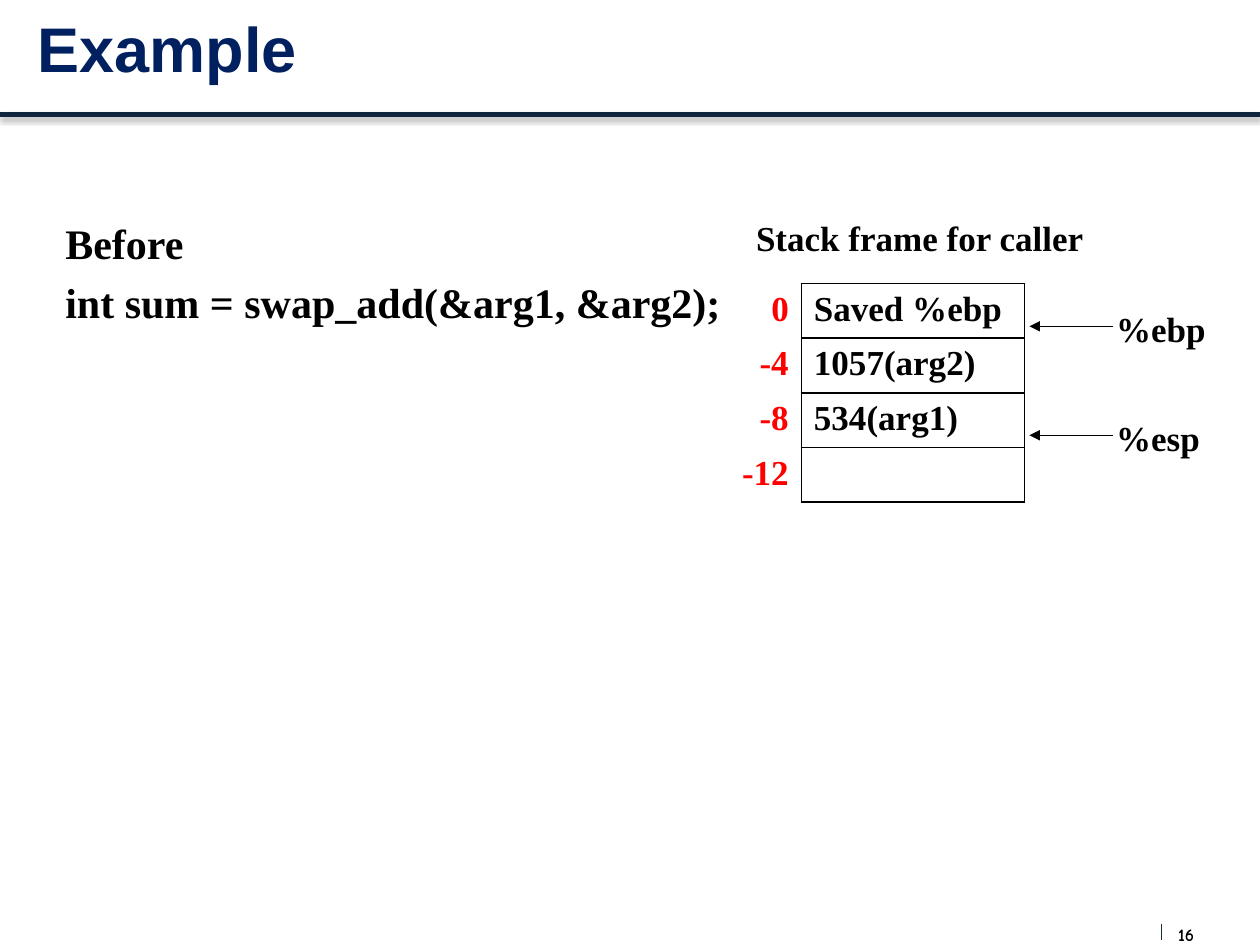
import dataclasses
import typing

import lxml.etree
import pptx
import pptx.dml.color
import pptx.enum.shapes
import pptx.enum.text
import pptx.oxml.ns
import pptx.util

ALIGN = pptx.enum.text.PP_ALIGN
ANCHOR = pptx.enum.text.MSO_ANCHOR
qn = pptx.oxml.ns.qn


@dataclasses.dataclass(frozen=True)
class Theme:
    navy: str = "002060"
    rule: str = "0F243E"
    divider: str = "172F37"
    ink: str = "000000"
    offset: str = "FF0000"
    heading_font: str = "Arial"
    body_font: str = "Times New Roman"
    number_font: str = "Comic Neue"
    title_size: int = 36
    code_size: int = 24
    label_size: int = 20
    number_size: int = 10


class Area(typing.NamedTuple):
    """Left, top, width and height in grid columns and rows."""
    left: float
    top: float
    width: float
    height: float


class Word(typing.NamedTuple):
    offset: str
    content: str


class Pointer(typing.NamedTuple):
    register: str
    row: int
    width: float


THEME = Theme()
COLUMNS, ROWS = 100, 75
STACK = Area(57.5, 22.5, 23.8, 17.3)
OFFSET_WIDTH = 6.1
WORDS = [Word("0", "Saved %ebp"), Word("-4", "1057(arg2)"),
         Word("-8", "534(arg1)"), Word("-12", "")]
POINTERS = [Pointer("%ebp", 0, 9.1), Pointer("%esp", 2, 8.6)]

deck = pptx.Presentation()
deck.slide_width, deck.slide_height = pptx.util.Inches(10), pptx.util.Inches(7.5)


def across(columns: float) -> int:
    return round(deck.slide_width * columns / COLUMNS)


def down(rows: float) -> int:
    return round(deck.slide_height * rows / ROWS)


def place(area: Area) -> tuple[int, int, int, int]:
    return across(area.left), down(area.top), across(area.width), down(area.height)


def apply(target: object, values: dict[str, object]) -> None:
    for name, value in values.items():
        setattr(target, name, value)


def write(frame, lines: list[str], size: int, font: str = THEME.body_font,
          color: str = THEME.ink, align=ALIGN.LEFT) -> None:
    for index, line in enumerate(lines):
        para = frame.paragraphs[0] if index == 0 else frame.add_paragraph()
        para.alignment = align
        if index:
            para.space_before = pptx.util.Pt(size * 0.2)
        span = para.add_run()
        span.text = line
        apply(span.font, {"size": pptx.util.Pt(size), "name": font, "bold": True})
        span.font.color.rgb = pptx.dml.color.RGBColor.from_string(color)


def add_text(page, area: Area, lines: list[str], size: int,
             inset: tuple[float, float] = (1, 0.5), right_inset: float | None = None,
             **style) -> None:
    right = inset[0] if right_inset is None else right_inset
    frame = page.shapes.add_textbox(*place(area)).text_frame
    apply(frame, {"word_wrap": True, "vertical_anchor": ANCHOR.TOP,
                  "margin_left": across(inset[0]), "margin_right": across(right),
                  "margin_top": down(inset[1]), "margin_bottom": 0})
    write(frame, lines, size, **style)


def add_line(page, start: tuple[float, float], end: tuple[float, float],
             color: str, width: float, arrow: bool = False, shadow: bool = False) -> None:
    line = page.shapes.add_connector(
        pptx.enum.shapes.MSO_CONNECTOR.STRAIGHT,
        across(start[0]), down(start[1]), across(end[0]), down(end[1]))
    line.line.color.rgb = pptx.dml.color.RGBColor.from_string(color)
    line.line.width = pptx.util.Pt(width)
    if arrow:
        lxml.etree.SubElement(line.line._get_or_add_ln(), qn("a:tailEnd"), type="triangle")
    effects = lxml.etree.SubElement(line._element.spPr, qn("a:effectLst"))
    if shadow:
        outer = lxml.etree.SubElement(
            effects, qn("a:outerShdw"), blurRad=str(pptx.util.Pt(3.1)),
            dist=str(pptx.util.Pt(1.8)), dir="5400000", rotWithShape="0")
        tint = lxml.etree.SubElement(outer, qn("a:srgbClr"), val=THEME.ink)
        lxml.etree.SubElement(tint, qn("a:alpha"), val="35000")


def set_borders(cell, drawn: str) -> None:
    """Draw the sides named in drawn (any of LRTB) and clear the others."""
    properties = cell._tc.get_or_add_tcPr()
    for side in "LRTB":
        edge = lxml.etree.SubElement(properties, qn(f"a:ln{side}"), w=str(pptx.util.Pt(1)))
        if side in drawn:
            fill = lxml.etree.SubElement(edge, qn("a:solidFill"))
            lxml.etree.SubElement(fill, qn("a:srgbClr"), val=THEME.ink)
        else:
            lxml.etree.SubElement(edge, qn("a:noFill"))


def add_stack(page) -> None:
    table = page.shapes.add_table(len(WORDS), 2, *place(STACK)).table
    apply(table, {"first_row": False, "horz_banding": False})
    for column, width in zip(table.columns, (OFFSET_WIDTH, STACK.width - OFFSET_WIDTH)):
        column.width = across(width)
    for row, word in enumerate(WORDS):
        looks = [("R", THEME.offset, ALIGN.RIGHT), ("LRTB", THEME.ink, ALIGN.LEFT)]
        for column, (text, (sides, color, align)) in enumerate(zip(word, looks)):
            cell = table.cell(row, column)
            set_borders(cell, sides)
            cell.fill.background()
            if text:
                write(cell.text_frame, [text], THEME.label_size, color=color, align=align)


def add_pointer(page, pointer: Pointer) -> None:
    top = STACK.top + pointer.row * STACK.height / len(WORDS)
    add_text(page, Area(87.6, top + 1.4, pointer.width, 4.3), [pointer.register],
             THEME.label_size, right_inset=0)
    add_line(page, (88.3, top + 3.4), (81.7, top + 3.4), THEME.ink, 0.75, arrow=True)


def main() -> None:
    page = deck.slides.add_slide(deck.slide_layouts[5])

    # Header rule and page number
    add_line(page, (0, 9.1), (COLUMNS, 9.1), THEME.rule, 3, shadow=True)
    add_text(page, Area(93.5, 73.3, 3.4, 1.7), ["16"], THEME.number_size,
             inset=(0, 0), font=THEME.number_font)
    add_line(page, (92.2, 73.3), (92.2, 74.6), THEME.divider, 0.75)

    # Title
    title = page.shapes.title
    apply(title, dict(zip(("left", "top", "width", "height"), place(Area(2, 0, 92.5, 7.5)))))
    title.text_frame.vertical_anchor = ANCHOR.MIDDLE
    write(title.text_frame, ["Example"], THEME.title_size, THEME.heading_font, THEME.navy)

    # Stack frame with its caption
    add_stack(page)
    add_text(page, Area(58.3, 16.7, 29.4, 4.3), ["Stack frame for caller"],
             THEME.label_size, align=ALIGN.CENTER)

    # Call being traced
    add_text(page, Area(4.2, 16.8, 54.9, 9.9),
             ["Before", "int sum = swap_add(&arg1, &arg2);"], THEME.code_size)

    # Register pointers
    for pointer in POINTERS:
        add_pointer(page, pointer)

    deck.save("out.pptx")


if __name__ == "__main__":
    main()
